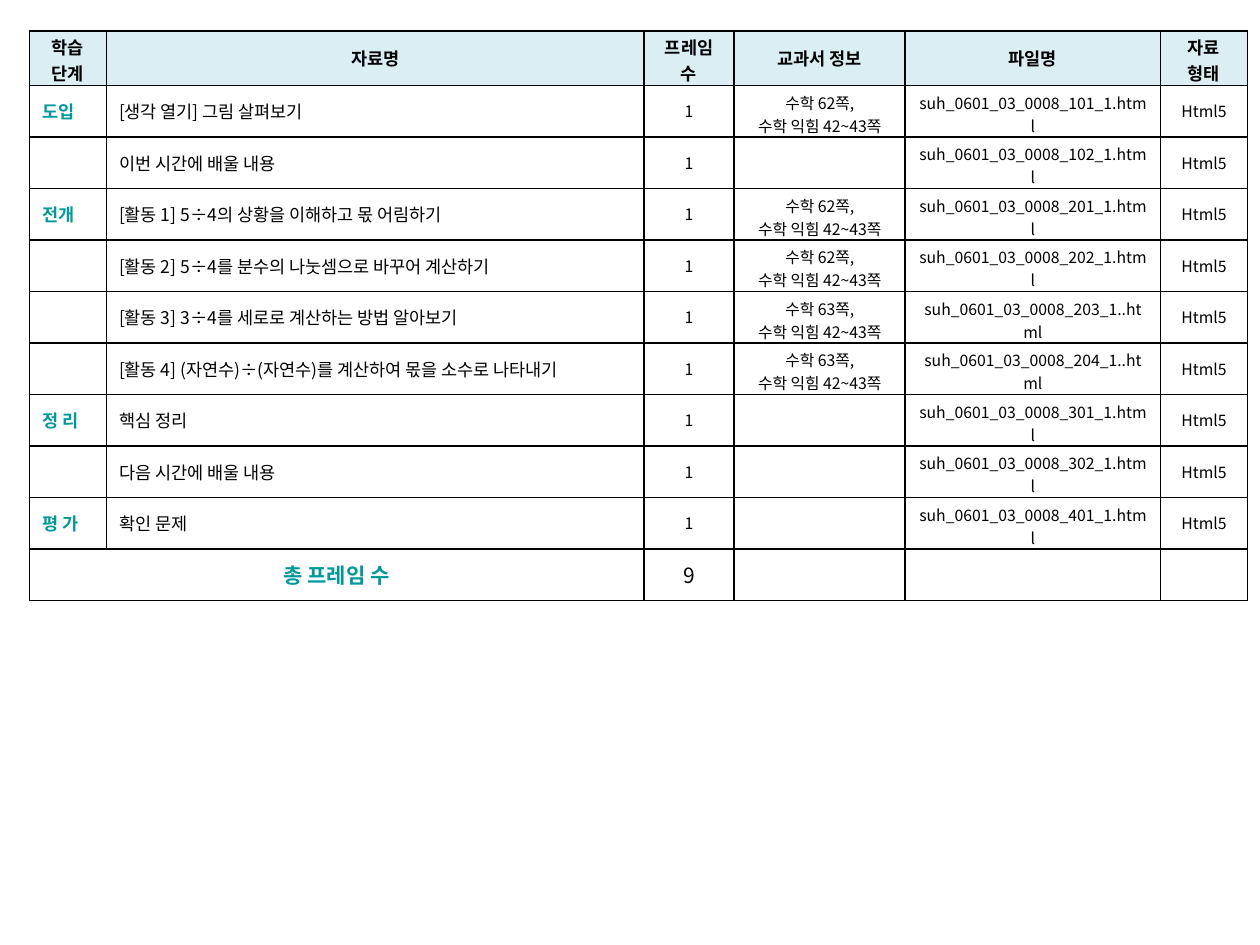
from pptx import Presentation
from pptx.dml.color import RGBColor
from pptx.enum.text import MSO_ANCHOR, PP_ALIGN
from pptx.oxml.ns import qn
from pptx.util import Pt
from lxml import etree

CENTER, LEFT, JUSTIFY = PP_ALIGN.CENTER, PP_ALIGN.LEFT, PP_ALIGN.JUSTIFY
MIDDLE = MSO_ANCHOR.MIDDLE

BLACK = RGBColor(0x00, 0x00, 0x00)
TEAL = RGBColor(0x00, 0x99, 0x99)
PALE_BLUE = RGBColor(0xDB, 0xEE, 0xF4)
FONT = "Noto Sans CJK KR"

TABLE_LEFT, TABLE_TOP = 16.8, 17.8
COLUMN_WIDTHS = [44, 307.1, 51.7, 97.7, 146, 49.5]
HEADER_HEIGHT, ROW_HEIGHT = 31, 29.43
SIDE_INSET, INSET = 7.2, 3.6

HEADERS = ["학습 단계", "자료명", "프레임 수", "교과서 정보", "파일명", "자료\n형태"]

# Stage, material, textbook page, file name
LESSONS = [
    ("도입", "[생각 열기] 그림 살펴보기", 62, "101_1."),
    ("", "이번 시간에 배울 내용", None, "102_1."),
    ("전개", "[활동 1] 5÷4의 상황을 이해하고 몫 어림하기", 62, "201_1."),
    ("", "[활동 2] 5÷4를 분수의 나눗셈으로 바꾸어 계산하기", 62, "202_1."),
    ("", "[활동 3] 3÷4를 세로로 계산하는 방법 알아보기", 63, "203_1.."),
    ("", "[활동 4] (자연수)÷(자연수)를 계산하여 몫을 소수로 나타내기", 63, "204_1.."),
    ("정 리", "핵심 정리", None, "301_1."),
    ("", "다음 시간에 배울 내용", None, "302_1."),
    ("평 가", "확인 문제", None, "401_1."),
]


def set_borders(cell):
    properties = cell._tc.get_or_add_tcPr()
    for side in ("a:lnL", "a:lnR", "a:lnT", "a:lnB"):
        line = etree.SubElement(properties, qn(side), w=str(Pt(1)))
        fill = etree.SubElement(line, qn("a:solidFill"))
        etree.SubElement(fill, qn("a:srgbClr"), val=str(BLACK))


def format_run(run, size, color, bold):
    font = run.font
    font.name, font.size, font.bold = FONT, Pt(size), bold
    font.color.rgb = color
    east_asian = etree.SubElement(run._r.get_or_add_rPr(), qn("a:ea"))
    east_asian.set("typeface", FONT)


def fill_cell(cell, text, size=9, color=BLACK, bold=False, align=CENTER,
              top=INSET, bottom=INSET):
    cell.text_frame.text = text
    cell.vertical_anchor = MIDDLE
    cell.margin_left = cell.margin_right = Pt(SIDE_INSET)
    cell.margin_top, cell.margin_bottom = Pt(top), Pt(bottom)
    for paragraph in cell.text_frame.paragraphs:
        paragraph.alignment = align
        for run in paragraph.runs:
            format_run(run, size, color, bold)
        if not paragraph.runs:
            # Keeps an empty cell from stretching its row
            paragraph._p.get_or_add_endParaRPr().set("sz", str(size * 100))


def add_lesson_table(slide):
    row_count = len(LESSONS) + 2
    height = HEADER_HEIGHT + ROW_HEIGHT * (row_count - 1)
    table = slide.shapes.add_table(
        row_count, len(HEADERS), Pt(TABLE_LEFT), Pt(TABLE_TOP),
        Pt(sum(COLUMN_WIDTHS)), Pt(height)).table
    table.first_row = table.horz_banding = False
    for column, width in zip(table.columns, COLUMN_WIDTHS):
        column.width = Pt(width)
    for index, row in enumerate(table.rows):
        row.height = Pt(ROW_HEIGHT if index else HEADER_HEIGHT)
        for cell in row.cells:
            set_borders(cell)
            if index:
                cell.fill.background()
            else:
                cell.fill.solid()
                cell.fill.fore_color.rgb = PALE_BLUE
    return table


def fill_header(table):
    for column, header in enumerate(HEADERS):
        two_lines = column in (0, 2, 5)
        top, bottom = (2, 0) if two_lines else (INSET, INSET)
        fill_cell(table.cell(0, column), header, 10, bold=True,
                  top=top, bottom=bottom)


def fill_lesson(cells, stage, material, page, file_end):
    textbook = f"수학 {page}쪽,\n수학 익힘 42~43쪽" if page else ""
    file_name = f"suh_0601_03_0008_{file_end}html"
    fill_cell(cells[0], stage, 10, TEAL, True, JUSTIFY)
    fill_cell(cells[1], material, 10, align=LEFT)
    fill_cell(cells[2], "1")
    # Two-line cells take tighter insets to hold the row height
    fill_cell(cells[3], textbook, top=3.2, bottom=0)
    fill_cell(cells[4], file_name, top=3.2, bottom=0)
    fill_cell(cells[5], "Html5")


def fill_total(table):
    last = len(table.rows) - 1
    for column in range(len(HEADERS)):
        fill_cell(table.cell(last, column), "")
    label = table.cell(last, 0)
    label.merge(table.cell(last, 1))
    fill_cell(label, "총 프레임 수", 12, TEAL, True)
    fill_cell(table.cell(last, 2), str(len(LESSONS)), 12)


def main():
    presentation = Presentation()
    presentation.slide_width, presentation.slide_height = Pt(720), Pt(540)
    slide = presentation.slides.add_slide(presentation.slide_layouts[6])

    # Lesson table: header, one row per material, total
    table = add_lesson_table(slide)
    fill_header(table)
    for index, lesson in enumerate(LESSONS, start=1):
        fill_lesson(list(table.rows[index].cells), *lesson)
    fill_total(table)

    presentation.save("out.pptx")


if __name__ == "__main__":
    main()
